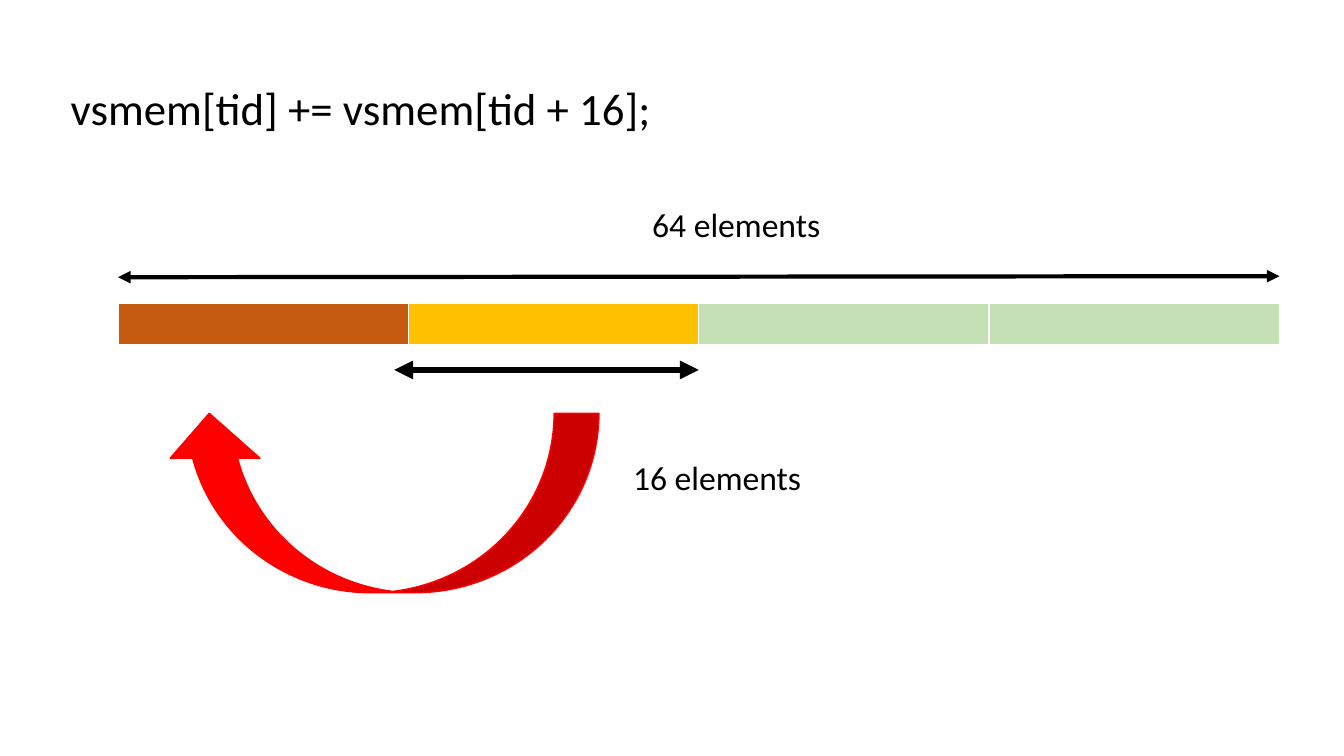
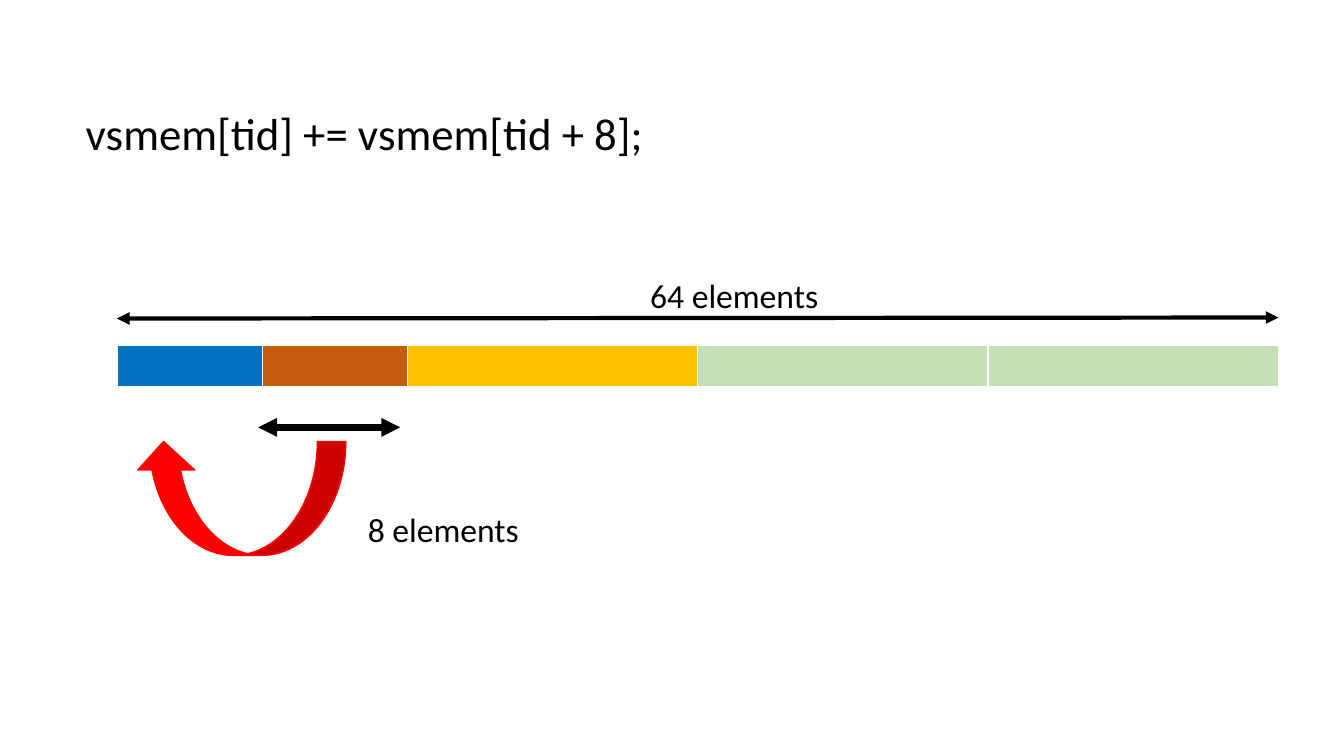
from lxml import etree
from pptx import Presentation
from pptx.dml.color import RGBColor
from pptx.enum.shapes import MSO_CONNECTOR, MSO_SHAPE
from pptx.enum.text import MSO_ANCHOR, PP_ALIGN
from pptx.oxml.ns import qn
from pptx.util import Inches, Pt

FONT = "Calibri"
BLACK = RGBColor(0x00, 0x00, 0x00)
RED = RGBColor(0xFF, 0x00, 0x00)
BLUE = RGBColor(0x00, 0x70, 0xC0)
BROWN = RGBColor(0xC5, 0x5A, 0x11)
AMBER = RGBColor(0xFF, 0xC0, 0x00)
GREEN = RGBColor(0xC5, 0xE0, 0xB4)

TOTAL = 64  # elements in the bar
BAR_W, BAR_H = 11.52, 0.41
TITLE_SIZE = (6.17, 0.64)
LABEL_SIZE = (2.38, 0.5)

# Content: each bar segment is (elements, colour); positions are in inches
STEPS = [
    {
        "offset": 16,
        "title_at": (0.6, 0.75),
        "bar_at": (1.17, 3.01),
        "segments": [(16, BROWN), (16, AMBER), (16, GREEN), (16, GREEN)],
        "total_y": (2.75, 2.74),
        "total_label_at": (6.37, 1.97),
        "span": (3.91, 6.93, 3.67),
        "fold": (1.63, 4.1, 4.31, 1.78),
        "span_label_at": (6.18, 4.48),
    },
    {
        "offset": 8,
        "title_at": (0.75, 1),
        "bar_at": (1.16, 3.43),
        "segments": [(8, BLUE), (8, BROWN), (16, AMBER), (16, GREEN), (16, GREEN)],
        "total_y": (3.16, 3.15),
        "total_label_at": (6.35, 2.68),
        "span": (2.56, 3.97, 4.24),
        "fold": (1.34, 4.38, 2.09, 1.13),
        "span_label_at": (3.55, 5),
    },
]


def inches(*values):
    return [Inches(v) for v in values]


def write(tf, text, size):
    tf.word_wrap = True
    tf.vertical_anchor = MSO_ANCHOR.TOP
    p = tf.paragraphs[0]
    p.alignment = PP_ALIGN.LEFT
    r = p.add_run()
    r.text = text
    r.font.name, r.font.size = FONT, Pt(size)
    r.font.color.rgb = BLACK


def add_title(s, text, at):
    title = s.shapes.title
    title.left, title.top, title.width, title.height = inches(*at, *TITLE_SIZE)
    write(title.text_frame, text, 32)


def add_label(s, text, at):
    box = s.shapes.add_textbox(*inches(*at, *LABEL_SIZE))
    write(box.text_frame, text, 24)


def add_bar(s, segments, at):
    frame = s.shapes.add_table(1, len(segments), *inches(*at, BAR_W, BAR_H))
    table = frame.table
    for i, (count, color) in enumerate(segments):
        table.columns[i].width = Inches(BAR_W * count / TOTAL)
        fill = table.cell(0, i).fill
        fill.solid()
        fill.fore_color.rgb = color


def add_double_arrow(s, x1, y1, x2, y2, width):
    line = s.shapes.add_connector(MSO_CONNECTOR.STRAIGHT, *inches(x1, y1, x2, y2))
    line.line.color.rgb = BLACK
    line.line.width = Pt(width)
    ln = line.line._get_or_add_ln()
    for end in ("a:headEnd", "a:tailEnd"):
        etree.SubElement(ln, qn(end), type="triangle")
    etree.SubElement(line._element.spPr, qn("a:effectLst"))


def add_fold_arrow(s, box):
    sp = s.shapes.add_shape(MSO_SHAPE.CURVED_DOWN_ARROW, *inches(*box))
    sp.rotation = 180
    sp.shadow.inherit = False
    sp.fill.solid()
    sp.fill.fore_color.rgb = RED
    sp.line.color.rgb = RED
    sp.line.width = Pt(1)


def build_step(prs, step):
    s = prs.slides.add_slide(prs.slide_layouts[5])
    offset = step["offset"]
    add_title(s, f"vsmem[tid] += vsmem[tid + {offset}];", step["title_at"])

    # Whole array
    add_bar(s, step["segments"], step["bar_at"])
    left = step["bar_at"][0]
    y1, y2 = step["total_y"]
    add_double_arrow(s, left, y1, left + BAR_W, y2, 3)
    add_label(s, f"{TOTAL} elements", step["total_label_at"])

    # Part that is added onto its left neighbour
    x1, x2, y = step["span"]
    add_double_arrow(s, x1, y, x2, y, 4.5)
    add_fold_arrow(s, step["fold"])
    add_label(s, f"{offset} elements", step["span_label_at"])


def main():
    prs = Presentation()
    prs.slide_width, prs.slide_height = inches(13.33, 7.5)
    for step in STEPS:
        build_step(prs, step)
    prs.save("out.pptx")


if __name__ == "__main__":
    main()
